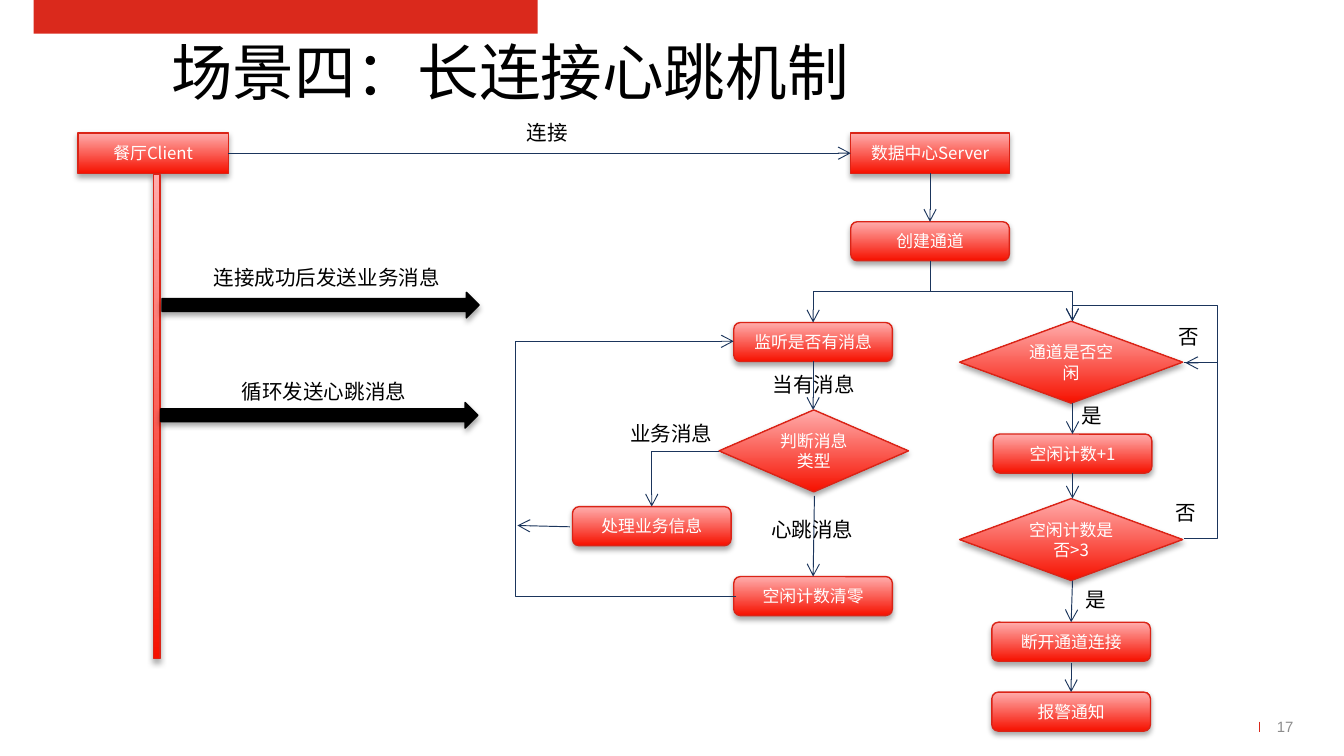
from typing import NamedTuple, Optional

from pptx import Presentation
from pptx.dml.color import RGBColor
from pptx.enum import shapes, text
from pptx.oxml import ns, xmlchemy
from pptx.util import Inches, Pt

COLORS = {"brand": "DA291C", "edge": "DA2417", "deep": "F61100", "pale": "FFADAC",
          "navy": "1B355C", "black": "000000", "white": "FFFFFF", "gray": "8C8C8C"}
CJK_FONT = "Noto Sans CJK SC"
RECT = shapes.MSO_SHAPE.RECTANGLE
STEP = shapes.MSO_SHAPE.FLOWCHART_ALTERNATE_PROCESS
CHOICE = shapes.MSO_SHAPE.FLOWCHART_DECISION


class Node(NamedTuple):
    kind: shapes.MSO_SHAPE
    left: float
    top: float
    width: float
    height: float
    label: str = ""


class Label(NamedTuple):
    left: float
    top: float
    width: float
    label: str


class Link(NamedTuple):
    x1: float
    y1: float
    x2: float
    y2: float


class Elbow(NamedTuple):
    """Bent link; bend_x and bend_y place its free middle segments."""
    x1: float
    y1: float
    x2: float
    y2: float
    bend_x: Optional[float] = None
    bend_y: Optional[float] = None


def step(left: float, top: float, label: str) -> Node:
    return Node(STEP, left, top, 1.18, 0.29, label)


NODES = [
    Node(RECT, 0.58, 0.99, 1.12, 0.3, "餐厅Client"),
    Node(RECT, 1.14, 1.3, 0.05, 3.6),
    Node(RECT, 6.33, 0.99, 1.18, 0.3, "数据中心Server"),
    step(6.33, 1.65, "创建通道"),
    step(5.46, 2.4, "监听是否有消息"),
    Node(CHOICE, 5.35, 3.05, 1.41, 0.61, "判断消息类型"),
    step(4.26, 3.77, "处理业务信息"),
    step(5.46, 4.29, "空闲计数清零"),
    Node(CHOICE, 7.14, 2.39, 1.66, 0.61, "通道是否空闲"),
    step(7.39, 3.23, "空闲计数+1"),
    Node(CHOICE, 7.14, 3.71, 1.66, 0.61, "空闲计数是否>3"),
    step(7.38, 4.63, "断开通道连接"),
    step(7.38, 5.15, "报警通知"),
]
LABELS = [
    Label(3.82, 0.84, 0.57, "连接"),
    Label(1.49, 1.92, 1.92, "连接成功后发送业务消息"),
    Label(1.7, 2.77, 1.49, "循环发送心跳消息"),
    Label(5.65, 2.72, 0.92, "当有消息"),
    Label(4.59, 3.08, 1.3, "业务消息"),
    Label(5.64, 3.8, 1.3, "心跳消息"),
    Label(8.67, 2.36, 0.41, "否"),
    Label(7.95, 2.95, 0.41, "是"),
    Label(8.65, 3.67, 0.41, "否"),
    Label(7.98, 4.32, 0.41, "是"),
]
LINKS = [
    Link(1.7, 1.14, 6.33, 1.14),
    Link(6.92, 1.29, 6.92, 1.65),
    Link(6.05, 2.69, 6.05, 3.05),
    Link(6.06, 3.69, 6.05, 4.29),
    Link(4.24, 3.92, 3.85, 3.91),
    Link(7.98, 3, 7.98, 3.23),
    Link(7.98, 3.52, 7.98, 3.71),
    Link(7.98, 4.32, 7.97, 4.63),
    Link(7.97, 4.93, 7.97, 5.15),
]
ELBOWS = [
    Elbow(6.92, 1.94, 6.05, 2.4, bend_y=2.17),
    Elbow(6.92, 1.94, 7.98, 2.39, bend_y=2.17),
    Elbow(5.35, 3.36, 4.85, 3.77),
    Elbow(5.48, 4.44, 5.46, 2.54, bend_x=3.84),
    Elbow(8.81, 4.01, 8.82, 2.7, bend_x=9.06),
    Elbow(8.81, 2.7, 7.98, 2.39, bend_x=9.06, bend_y=2.27),
]
MESSAGE_ARROWS = [(2.29, 1.09), (2.28, 1.91)]


def rgb(name: str) -> RGBColor:
    return RGBColor.from_string(COLORS[name])


def add_xml(parent, tag: str, **attrs):
    child = xmlchemy.OxmlElement(tag)
    for key, value in attrs.items():
        child.set(key, str(value))
    parent.append(child)
    return child


def write(tf, label: str, size: float, color: str, font: str = "Arial",
          align=text.PP_ALIGN.LEFT, anchor=text.MSO_ANCHOR.TOP) -> None:
    tf.text = label
    tf.word_wrap = True
    tf.vertical_anchor = anchor
    p = tf.paragraphs[0]
    p.alignment = align
    r = p.runs[0]
    r.font.size, r.font.name = Pt(size), font
    r.font.color.rgb = rgb(color)
    add_xml(r.font._element, "a:ea", typeface=CJK_FONT)


def clear_insets(tf) -> None:
    tf.margin_left = tf.margin_top = tf.margin_right = tf.margin_bottom = 0


def add_box(slide, kind, left: float, top: float, width: float, height: float):
    sp = slide.shapes.add_shape(kind, *map(Inches, (left, top, width, height)))
    sp.shadow.inherit = False
    return sp


def outline_and_shade(sp, color: str) -> None:
    sp.line.color.rgb = rgb(color)
    sp.line.width = Pt(0.75)
    effects = sp._element.spPr.find(ns.qn("a:effectLst"))
    shadow = add_xml(effects, "a:outerShdw", blurRad=Pt(3.1), dist=Pt(1.8),
                     dir=5400000, rotWithShape=0)
    black = add_xml(shadow, "a:srgbClr", val=COLORS["black"])
    add_xml(black, "a:alpha", val=35000)


def draw_node(slide, node: Node) -> None:
    sp = add_box(slide, *node[:5])
    sp.fill.gradient()
    sp.fill.gradient_angle = 90
    for stop, name in zip(sp.fill.gradient_stops, ("deep", "pale")):
        stop.color.rgb = rgb(name)
    outline_and_shade(sp, "edge")
    if node.label:
        write(sp.text_frame, node.label, 9, "white", CJK_FONT,
              text.PP_ALIGN.CENTER, text.MSO_ANCHOR.MIDDLE)


def draw_text(slide, left: float, top: float, width: float, height: float,
              label: str, size: float, color: str, **style):
    box = slide.shapes.add_textbox(*map(Inches, (left, top, width, height)))
    write(box.text_frame, label, size, color, **style)
    return box


def draw_link(slide, link: Link, kind=shapes.MSO_CONNECTOR.STRAIGHT,
              color: str = "navy", arrow: bool = True):
    cx = slide.shapes.add_connector(kind, *map(Inches, link))
    cx.line.color.rgb = rgb(color)
    cx.line.width = Pt(0.5)
    if arrow:
        add_xml(cx.line._get_or_add_ln(), "a:tailEnd", type="arrow")
    add_xml(cx._element.spPr, "a:effectLst")
    return cx


def draw_elbow(slide, e: Elbow) -> None:
    dx, dy = e.x2 - e.x1, e.y2 - e.y1
    ends, turn = Link(*e[:4]), 0
    bends = []
    if e.bend_x is not None:
        bends.append((e.bend_x - e.x1) / dx)
    if e.bend_y is not None:
        bends.append((e.bend_y - e.y1) / dy)
        if e.bend_x is None:  # leaves downwards: a turned horizontal elbow
            mx, my = (e.x1 + e.x2) / 2, (e.y1 + e.y2) / 2
            side = 1 if dx < 0 else -1
            w, h = side * dy / 2, abs(dx) / 2
            ends, turn = Link(mx - w, my - h, mx + w, my + h), side * 90 % 360
    cx = draw_link(slide, ends, shapes.MSO_CONNECTOR.ELBOW)
    if turn:
        cx._element.spPr.xfrm.set("rot", str(turn * 60000))
    geom = cx._element.spPr.find(ns.qn("a:prstGeom"))
    geom.set("prst", f"bentConnector{len(bends) + 2}")
    guides = geom.find(ns.qn("a:avLst"))
    for i, bend in enumerate(bends, 1):
        add_xml(guides, "a:gd", name=f"adj{i}", fmla=f"val {round(bend * 100000)}")


def main() -> None:
    prs = Presentation()
    prs.slide_width = Inches(10)
    prs.slide_height = prs.slide_width * 9 // 16
    slide = prs.slides.add_slide(prs.slide_layouts[5])

    title = slide.shapes.title
    title.left, title.top, title.width, title.height = map(Inches, (0.25, 0.3, 7.09, 0.5))
    write(title.text_frame, "场景四：长连接心跳机制", 33, "black",
          align=text.PP_ALIGN.CENTER, anchor=text.MSO_ANCHOR.BOTTOM)
    title.text_frame.auto_size = text.MSO_AUTO_SIZE.NONE
    clear_insets(title.text_frame)

    band = add_box(slide, RECT, 0.25, 0, 3.75, 0.25)
    band.fill.solid()
    band.fill.fore_color.rgb = rgb("brand")
    band.line.fill.background()

    number = draw_text(slide, 9.5, 5.28, 0.25, 0.25, "17", 8, "gray",
                       anchor=text.MSO_ANCHOR.MIDDLE)
    clear_insets(number.text_frame)
    draw_link(slide, Link(9.37, 5.37, 9.37, 5.45), color="brand", arrow=False)

    for node in NODES:
        draw_node(slide, node)
    for left, top in MESSAGE_ARROWS:
        sp = add_box(slide, shapes.MSO_SHAPE.UP_ARROW, left, top, 0.19, 2.36)
        sp.rotation = 90
        sp.fill.solid()
        sp.fill.fore_color.rgb = rgb("black")
        outline_and_shade(sp, "black")
    for link in LINKS:
        draw_link(slide, link)
    for elbow in ELBOWS:
        draw_elbow(slide, elbow)
    for item in LABELS:
        draw_text(slide, item.left, item.top, item.width, 0.29, item.label, 11, "black")

    prs.save("out.pptx")


if __name__ == "__main__":
    main()
